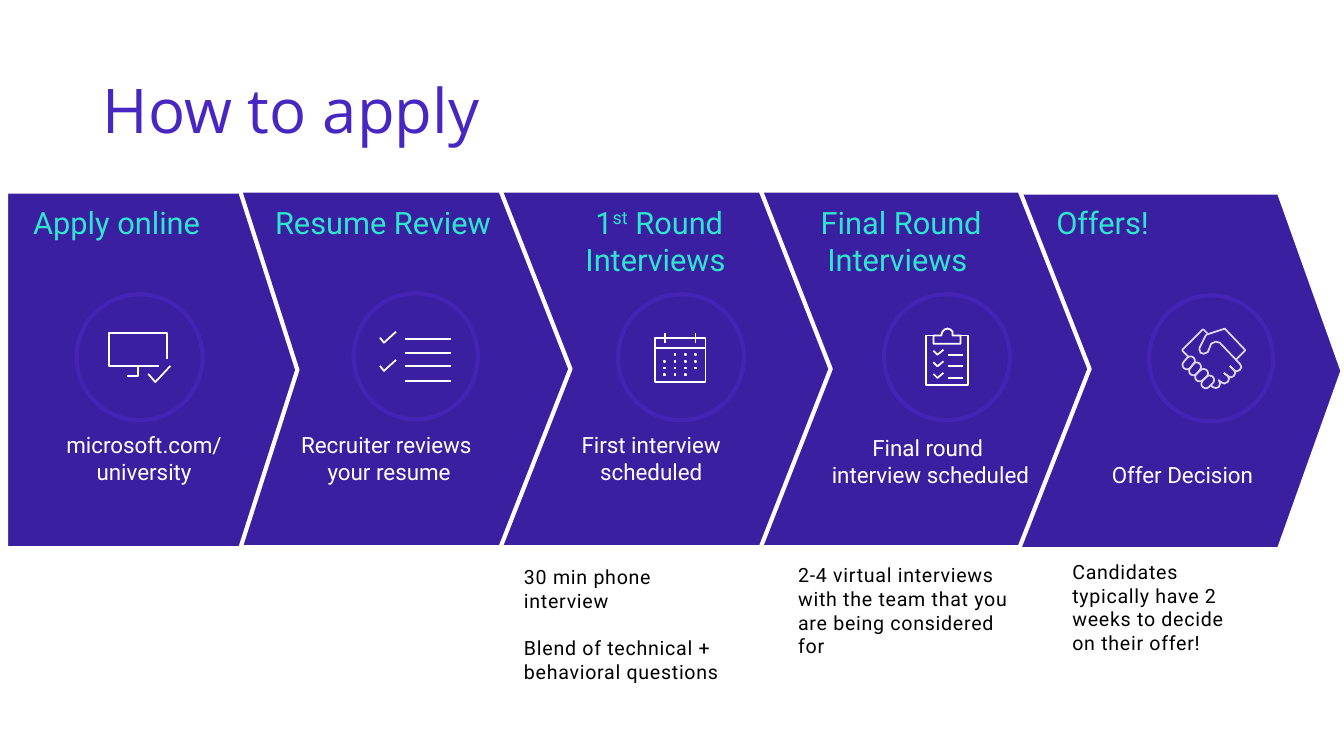
from math import cos, radians, sin

from lxml.etree import SubElement
from pptx import Presentation
from pptx.dml.color import RGBColor
from pptx.enum.shapes import MSO_SHAPE as Shape
from pptx.enum.text import MSO_ANCHOR as Anchor, MSO_AUTO_SIZE as AutoSize, PP_ALIGN as Align
from pptx.oxml.ns import qn
from pptx.util import Pt

COLORS = {
    "title": "4826C1", "arrow": "3A20A0", "ring": "4424B5", "heading": "30E5D0",
    "white": "FFFFFF", "black": "000000", "hands": "DED7F7",
}
GRID = 0.72
ARROW_HEIGHT = 254.9
ARROW_TIP = 0.196

FORMATS = {
    "title": {"size": 44, "name": "Open Sans", "color": "title"},
    "heading": {"size": 22, "name": "Roboto", "color": "heading"},
    "label": {"size": 16, "name": "Roboto", "color": "white"},
    "note": {"size": 14, "name": "Roboto", "color": "black", "spc": 50},
}


def shifted(stroke, dx, dy):
    return [(x + dx, y + dy) for x, y in stroke]


def square(x, y):
    return [(x, y), (x + 1, y), (x + 1, y + 1), (x, y + 1), (x, y)]


def knuckle(low, high, radius=4.4):
    outline = [
        (cx + radius * cos(radians(angle)), cy + radius * sin(radians(angle)))
        for (cx, cy), first in ((low, 45), (high, 225))
        for angle in range(first, first + 181, 20)
    ]
    return outline + outline[:1]


MONITOR = [
    [(61, 33), (46, 49), (39, 41)],
    [(58, 26), (58, 0), (0, 0), (0, 33), (50, 33)],
    [(18, 43), (29, 43), (29, 33)],
]
CHECKLIST = [[(25, y), (71, y)] for y in (7, 21, 34, 49)] + [
    shifted([(0, 6), (4, 11), (16, 0)], 0, dy) for dy in (0, 28)
]
CALENDAR = [
    [(0, 5), (50, 5), (50, 49), (0, 49), (0, 5)],
    [(0, 15), (50, 15)],
    [(10, 0), (10, 10)],
    [(40, 0), (40, 10)],
] + [
    square(9 + 10.3 * column, 21 + 6.8 * row)
    for row, columns in enumerate(((1, 2, 3), (0, 1, 2, 3), (0, 1, 2, 3), (0, 1, 2)))
    for column in columns
]
CLIPBOARD = [
    [(15, 7), (15, 6), (16, 3), (18, 1), (21, 0), (24, 1), (26, 3), (26, 7),
     (34, 7), (34, 15), (7, 15), (7, 7), (15, 7)],
    [(7, 7), (0, 7), (0, 56), (41, 56), (41, 7), (34, 7)],
] + [
    shifted(stroke, 0, dy)
    for dy in (0, 11.5, 23)
    for stroke in ([(36, 26), (21, 26)], [(7, 22), (11, 26), (17, 21)])
]
HANDSHAKE = [
    [(6, 28), (0, 22), (0, 21), (20, 1), (21, 1), (26, 6)],
    [(41, 44), (45, 47), (48, 48.5), (51, 47), (52.5, 44), (51, 41), (47, 37)],
    [(28, 56), (30, 58), (33, 59), (36, 58), (37.5, 54.5), (36, 51), (38, 53),
     (41.5, 54.5), (45, 53), (46.2, 50), (45, 47), (41, 44)],
    [(53, 31), (62, 22), (62, 21), (42, 0), (24, 6), (23, 7), (17, 19), (17, 21),
     (18, 24), (21, 25), (25, 23.5), (27, 19), (28.5, 15), (33, 13), (37, 14),
     (57, 35), (58.5, 38), (57, 41), (54, 42.5), (51, 41), (47, 37)],
] + [
    knuckle(low, high)
    for low, high in (
        ((4.5, 36), (8, 32)), ((11, 42), (14, 38)),
        ((17, 48), (21, 44.5)), ((23.2, 54.8), (27, 51)),
    )
]

TITLE = ("How to apply", (66.2, 28.8, 828, 104.4))
STEPS = [
    {"arrow": (4.3, 136.8, 208.1), "ring": (54.7, 210.2, 90),
     "heading": ("Apply online", (16.6, 141.8, 156.2, 33.8), Align.LEFT),
     "icon": (MONITOR, 77.8, 237.6, "white"),
     "label": ("microsoft.com/\nuniversity", (32.4, 308.2, 141.1, 38.9), Anchor.TOP)},
    {"arrow": (145.4, 136.1, 262.1), "ring": (252.7, 209.5, 88.6),
     "heading": ("Resume Review", (189.4, 141.8, 177.8, 33.8), Align.LEFT),
     "icon": (CHECKLIST, 271.4, 236.9, "white"),
     "label": ("Recruiter reviews \nyour resume", (207.4, 308.2, 141.1, 38.9), Anchor.TOP)},
    {"arrow": (328.3, 136.1, 265), "ring": (441.4, 210.2, 90),
     "heading": ("1^st^ Round Interviews ", (373, 141.8, 195.8, 60.5), Align.CENTER),
     "icon": (CALENDAR, 468, 237.6, "white"),
     "label": ("First interview scheduled", (394.6, 308.2, 141.1, 38.9), Anchor.TOP),
     "note": (["30 min phone interview", "Blend of technical + behavioral questions"],
              (367.2, 400.3, 164.2, 92.2))},
    {"arrow": (516.2, 136.1, 262.1), "ring": (631.4, 210.2, 90),
     "heading": ("Final Round Interviews ", (545.8, 141.8, 195.8, 60.5), Align.CENTER),
     "icon": (CLIPBOARD, 661.7, 234.7, "white"),
     "label": ("Final round \ninterview scheduled", (589.7, 309.6, 149.8, 38.9), Anchor.BOTTOM),
     "note": (["2-4 virtual interviews with the team that you are being considered for"],
              (563, 398.9, 164.2, 74.9))},
    {"arrow": (727.2, 137.5, 231.8), "ring": (820.8, 211, 88.6),
     "heading": ("Offers!", (747.4, 141.8, 195.8, 33.8), Align.LEFT),
     "icon": (HANDSHAKE, 844.6, 234.7, "hands"),
     "label": ("Offer Decision", (769.7, 329, 149.8, 19.4), Anchor.BOTTOM),
     "note": (["Candidates typically have 2 weeks to decide on their offer!"],
              (758.9, 396.7, 133.9, 74.9))},
]

deck = Presentation()
deck.slide_width, deck.slide_height = Pt(960), Pt(540)
slide = deck.slides.add_slide(deck.slide_layouts[5])
shapes = slide.shapes


def rgb(name):
    return RGBColor.from_string(COLORS[name])


def outline(shape, color, width, fill=None):
    shape.shadow.inherit = False
    if fill:
        shape.fill.solid()
        shape.fill.fore_color.rgb = rgb(fill)
    else:
        shape.fill.background()
    shape.line.color.rgb = rgb(color)
    shape.line.width = Pt(width)


def style_run(run, look, raised=False):
    for attribute, value in {"size": Pt(look["size"]), "name": look["name"]}.items():
        setattr(run.font, attribute, value)
    run.font.color.rgb = rgb(look["color"])
    properties = run._r.get_or_add_rPr()
    if "spc" in look:
        properties.set("spc", str(look["spc"]))
    if raised:
        properties.set("baseline", "30000")


def add_text(paragraphs, box, look, align=Align.LEFT, anchor=Anchor.TOP, inset=None):
    frame = shapes.add_textbox(*map(Pt, box)).text_frame
    settings = {"word_wrap": True, "auto_size": AutoSize.SHAPE_TO_FIT_TEXT, "vertical_anchor": anchor}
    if inset is not None:
        settings |= {f"margin_{side}": Pt(inset) for side in ("left", "top", "right", "bottom")}
    for attribute, value in settings.items():
        setattr(frame, attribute, value)
    for number, text in enumerate(paragraphs):
        paragraph = frame.add_paragraph() if number else frame.paragraphs[0]
        paragraph.alignment = align
        if number:
            paragraph.space_before = Pt(17)
        for row, line in enumerate(text.split("\n")):
            if row:
                paragraph.add_line_break()
            for place, piece in enumerate(line.split("^")):
                run = paragraph.add_run()
                run.text = piece
                style_run(run, look, place % 2 == 1)
        for line_break in paragraph._p.findall(qn("a:br")):
            SubElement(line_break, qn("a:rPr")).set("sz", str(look["size"] * 100))


def add_icon(strokes, left, top, color):
    placed = [[(Pt(x * GRID), Pt(y * GRID)) for x, y in stroke] for stroke in strokes]
    builder = shapes.build_freeform(*placed[0][0], scale=1.0)
    for number, (start, *rest) in enumerate(placed):
        if number:
            builder.move_to(*start)
        builder.add_line_segments(rest, close=False)
    outline(builder.convert_to_shape(Pt(left), Pt(top)), color, 1.25)


title = shapes.title
title_text, title_box = TITLE
for side, value in zip(("left", "top", "width", "height"), title_box):
    setattr(title, side, Pt(value))
title.text_frame.text = title_text
title.text_frame.vertical_anchor = Anchor.MIDDLE
title_line = title.text_frame.paragraphs[0]
title_line.alignment = Align.LEFT
title_line.line_spacing = 0.9
style_run(title_line.runs[0], FORMATS["title"])

for step in reversed(STEPS):
    arrow = shapes.add_shape(Shape.PENTAGON, *map(Pt, (*step["arrow"], ARROW_HEIGHT)))
    arrow.adjustments[0] = ARROW_TIP
    outline(arrow, "white", 3, "arrow")

for step in STEPS:
    heading, heading_box, heading_align = step["heading"]
    add_text([heading], heading_box, FORMATS["heading"], heading_align)
    outline(shapes.add_shape(Shape.OVAL, *map(Pt, (*step["ring"], 90))), "ring", 3)
    add_icon(*step["icon"])
    label, label_box, label_anchor = step["label"]
    add_text([label], label_box, FORMATS["label"], Align.CENTER, label_anchor, 0)
    if "note" in step:
        add_text(*step["note"], FORMATS["note"])

deck.save("out.pptx")
